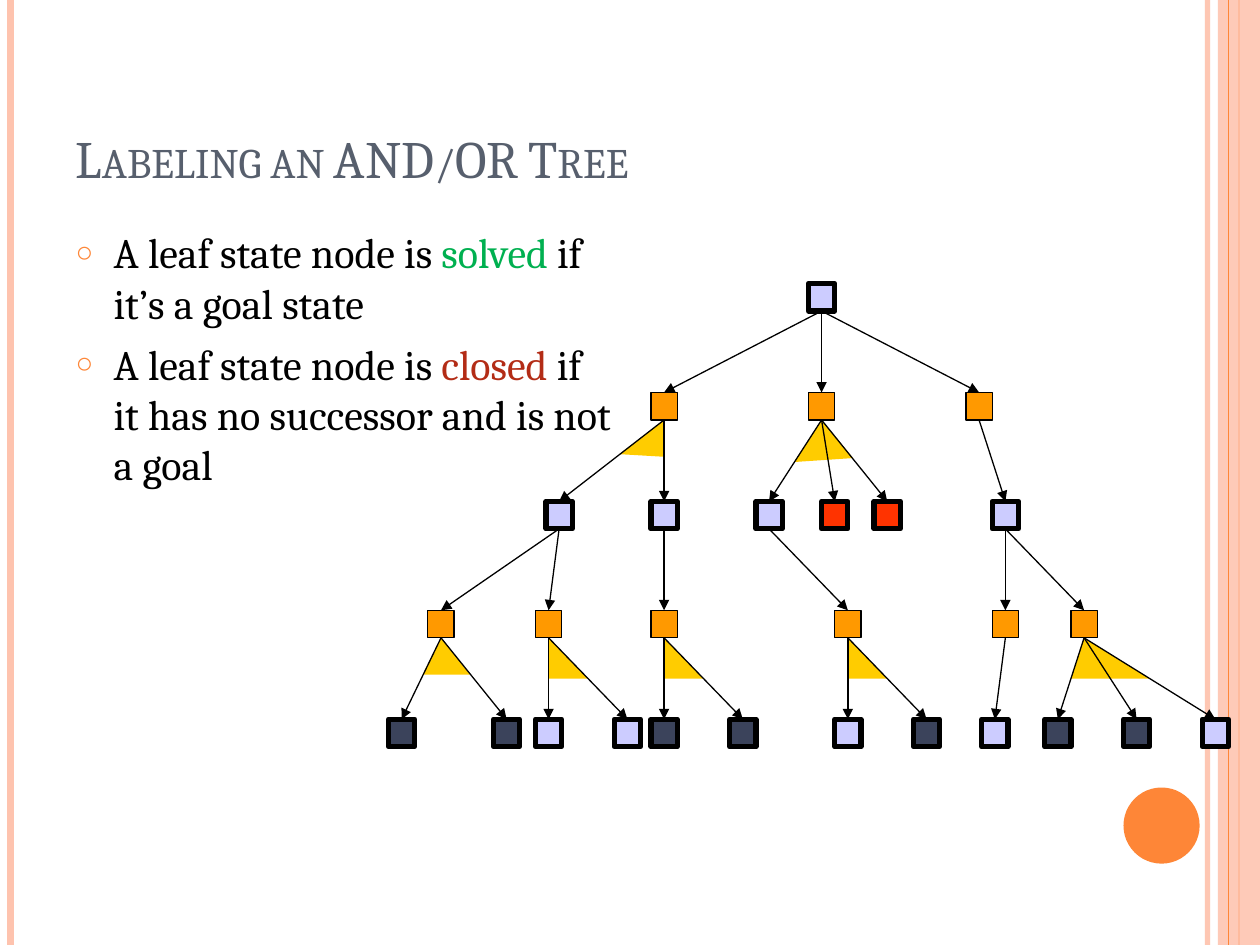
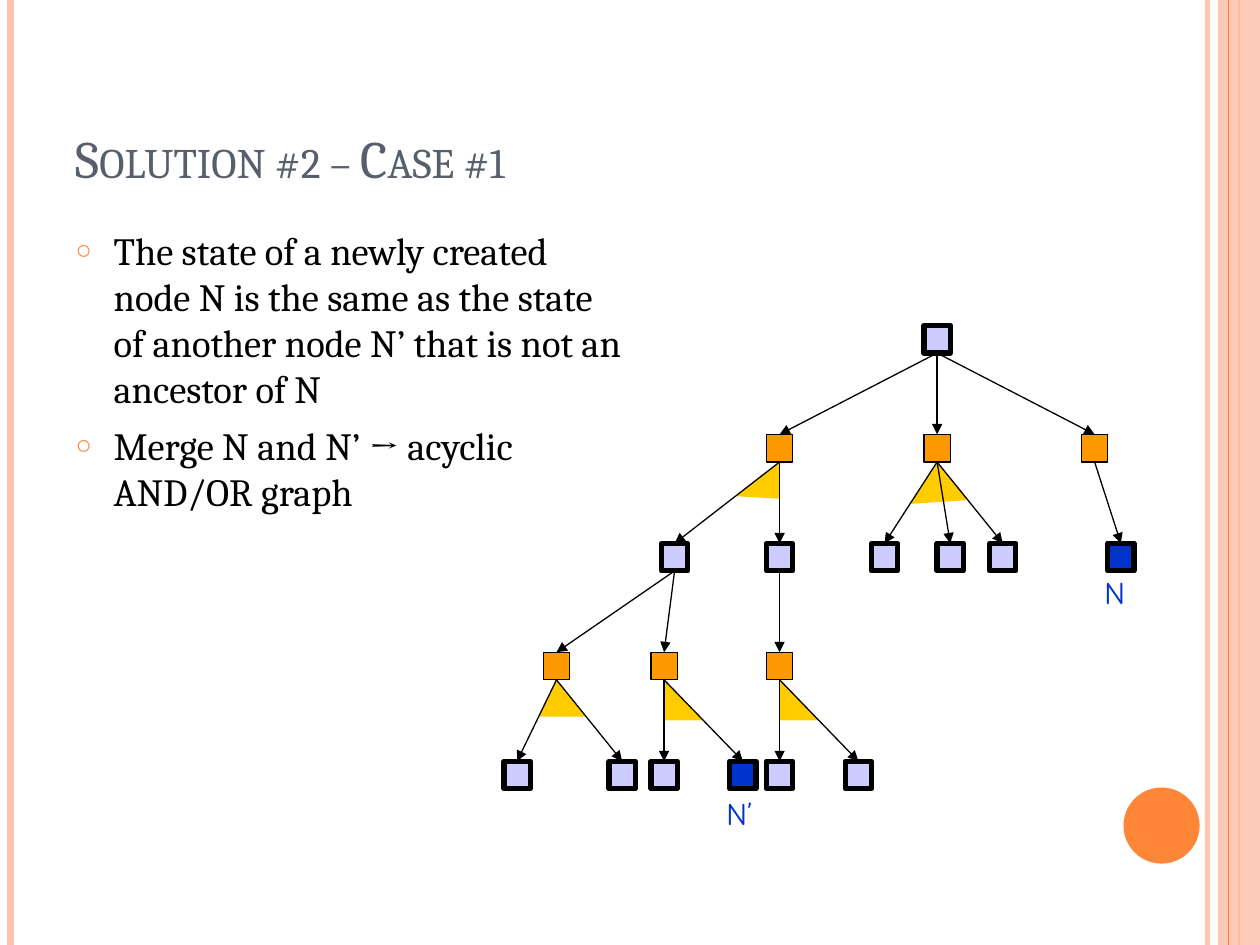
from dataclasses import dataclass

from lxml import etree
from pptx import Presentation
from pptx.dml.color import RGBColor
from pptx.enum.shapes import MSO_CONNECTOR, MSO_SHAPE
from pptx.enum.text import MSO_ANCHOR, MSO_AUTO_SIZE, PP_ALIGN
from pptx.oxml.ns import qn
from pptx.util import Emu, Pt

SCALE = 9525  # EMU per px, 96 px to the inch
RECT, OVAL = MSO_SHAPE.RECTANGLE, MSO_SHAPE.OVAL
STRAIGHT = MSO_CONNECTOR.STRAIGHT
BOTTOM, LEFT, NO_FIT = MSO_ANCHOR.BOTTOM, PP_ALIGN.LEFT, MSO_AUTO_SIZE.NONE

FONT, LABEL_FONT = "Cambria", "Comic Neue"
BLACK, SLATE, ORANGE, PEACH = "000000", "575F6D", "FE8637", "FEC3AE"
GREEN, RED_TEXT = "00B050", "B32C16"
STATE, ACTION, FAN = "CCCCFF", "FF9900", "FFCC00"
SOLVED, CLOSED, MERGED = "3B435B", "FF3300", "0033CC"

WIDTH, HEIGHT = 960, 720
NODE_W, NODE_H, ROW_STEP = 20, 21, 83


@dataclass
class Node:
    """A tree node: left edge in the tree, children, fill, reach of its AND fan."""
    x: int
    kids: tuple = ()
    fill: str = STATE
    reach: tuple = (0.5, 0.5)


def px(n):
    return Emu(round(n * SCALE))


def rgb(value):
    return RGBColor.from_string(value)


def sub(parent, tag, **attrs):
    return etree.SubElement(parent, qn(tag), attrs)


def set_alpha(sp, percent):
    colour = next(sp._element.spPr.iter(qn("a:srgbClr")))
    sub(colour, "a:alpha", val=str(percent * 1000))


def paint(sp, fill, line=None, width=0.75):
    sp.shadow.inherit = False
    sp.fill.solid()
    sp.fill.fore_color.rgb = rgb(fill)
    if line:
        sp.line.color.rgb = rgb(line)
        sp.line.width = Pt(width)
    else:
        sp.line.fill.background()
    return sp


def add_shape(slide, kind, x, y, w, h, fill, line=None, width=0.75):
    sp = slide.shapes.add_shape(kind, px(x), px(y), px(w), px(h))
    return paint(sp, fill, line, width)


def add_line(slide, x1, y1, x2, y2, colour, width=0.75, arrow=False):
    c = slide.shapes.add_connector(STRAIGHT, px(x1), px(y1), px(x2), px(y2))
    c.line.color.rgb = rgb(colour)
    c.line.width = Pt(width)
    if arrow:
        sub(c._element.spPr.find(qn("a:ln")), "a:tailEnd", type="triangle")
    sub(c._element.spPr, "a:effectLst")
    return c


# Shared frame: side bands and the disc, kept on the layout
def add_frame(layout, slide):
    def rule(x, colour, width):
        return add_line(slide, x, 0, x, HEIGHT, colour, width)

    inner = rule(920, PEACH, 3)
    set_alpha(inner, 93)
    left, right = rule(8, PEACH, 4.5), rule(944, ORANGE, 1.5)
    band = add_shape(slide, RECT, 928, 0, 32, HEIGHT, PEACH)
    set_alpha(band, 87)
    thin = rule(936, ORANGE, 0.75)
    disc = add_shape(slide, OVAL, 856, 600, 58, 58, ORANGE)
    for sp in (inner, left, right, band, thin, disc):
        layout.shapes.element.append(sp._element)


def place(sp, x, y, w, h):
    sp.left, sp.top, sp.width, sp.height = px(x), px(y), px(w), px(h)
    sp.text_frame.auto_size = NO_FIT
    return sp.text_frame


def style(p, size, colour, font=FONT):
    p.font.name, p.font.size = font, Pt(size)
    p.font.color.rgb = rgb(colour)


def add_title(slide, text):
    tf = place(slide.shapes.title, 48, 29, 784, 120)
    tf.vertical_anchor = BOTTOM
    p = tf.paragraphs[0]
    p.alignment = LEFT
    style(p, 30, SLATE)
    r = p.add_run()
    r.text = text
    r._r.get_or_add_rPr().set("cap", "small")


def add_bullets(slide, width, size, items):
    """Each item is a list of (text, colour) runs; colour None keeps black."""
    tf = place(slide.placeholders[1], 48, 168, width, 512)
    for i, runs in enumerate(items):
        p = tf.add_paragraph() if i else tf.paragraphs[0]
        p.space_before = Pt(6)
        pPr = p._p.get_or_add_pPr()
        pPr.set("marL", str(px(29)))
        pPr.set("indent", str(px(-29)))
        sub(sub(pPr, "a:buClr"), "a:srgbClr", val=ORANGE)
        sub(pPr, "a:buSzPct", val="70000")
        sub(pPr, "a:buChar", char="○")
        style(p, size, BLACK)
        for text, colour in runs:
            r = p.add_run()
            r.text = text
            if colour:
                r.font.color.rgb = rgb(colour)


# AND/OR tree
def walk(node, depth=0):
    yield node, depth
    for kid in node.kids:
        yield from walk(kid, depth + 1)


def add_tree(slide, left, top, root):
    nodes = list(walk(root))
    arrow_h = ROW_STEP - NODE_H

    def foot(node, depth):
        return left + node.x + NODE_W / 2, top + depth * ROW_STEP + NODE_H

    # Fans join the outer arrows of an AND node
    for node, depth in nodes:
        if node.fill == ACTION and len(node.kids) > 1:
            x, y = foot(node, depth)
            ends = zip((node.kids[0], node.kids[-1]), node.reach)
            corners = [(x + (kid.x - node.x) * part, y + arrow_h * part)
                       for kid, part in ends]
            builder = slide.shapes.build_freeform(x, y, scale=SCALE)
            builder.add_line_segments(corners, close=True)
            paint(builder.convert_to_shape(), FAN)

    for node, depth in nodes:
        x, y = foot(node, depth)
        for kid in node.kids:
            add_line(slide, x, y, x + kid.x - node.x, y + arrow_h, BLACK, arrow=True)

    for node, depth in nodes:
        add_shape(slide, RECT, left + node.x, top + depth * ROW_STEP, NODE_W, NODE_H,
                  node.fill, BLACK, 0.75 if node.fill == ACTION else 3)


def add_label(slide, x, y, text):
    tf = slide.shapes.add_textbox(px(x), px(y), px(40), px(38)).text_frame
    tf.word_wrap = False
    p = tf.paragraphs[0]
    p.text = text
    style(p, 18, MERGED, LABEL_FONT)


def action(x, *kids, reach=(0.5, 0.5)):
    return Node(x, kids, ACTION, reach)


def full_tree(leaf_fills, middle, right):
    """Root with the common left branch and the given other state nodes."""
    xs = (0, 80, 112, 172, 200, 260)
    leaves = [Node(x, fill=fill) for x, fill in zip(xs, leaf_fills)]
    first = Node(120, (action(30, *leaves[:2], reach=(0.45, 0.45)),
                       action(112, *leaves[2:4])))
    second = Node(200, (action(200, *leaves[4:]),))
    return Node(320, (action(200, first, second, reach=(0.42, 0.45)),
                      action(320, *middle, reach=(0.52, 0.47)),
                      action(440, right)))


def labeling_slide(slide):
    add_title(slide, "Labeling an AND/OR Tree")
    add_bullets(slide, 430, 24, [
        [("A leaf state node is ", None), ("solved", GREEN),
         (" if it’s a goal state", None)],
        [("A leaf state node is ", None), ("closed", RED_TEXT),
         (" if it has no successor and is not a goal", None)],
    ])
    middle = (Node(280, (action(340, Node(340), Node(400, fill=SOLVED)),)),
              Node(330, fill=CLOSED), Node(370, fill=CLOSED))
    right = Node(460, (
        action(460, Node(452)),
        action(520, Node(500, fill=SOLVED), Node(560, fill=SOLVED), Node(620))))
    leaf_fills = (SOLVED, SOLVED, STATE, STATE, SOLVED, SOLVED)
    add_tree(slide, 296, 216, full_tree(leaf_fills, middle, right))


def merge_slide(slide):
    add_title(slide, "Solution #2 – Case #1")
    add_bullets(slide, 436, 22, [
        [("The state of a newly created node N is the same as the state of "
          "another node N’ that is not an ancestor of N", None)],
        [("Merge N and N’ → acyclic AND/OR graph", None)],
    ])
    left, top = 384, 248
    middle = [Node(x) for x in (280, 330, 370)]
    leaf_fills = (STATE, STATE, STATE, MERGED, STATE, STATE)
    add_tree(slide, left, top, full_tree(leaf_fills, middle, Node(460, fill=MERGED)))
    add_label(slide, left + 448, top + 184, "N")
    add_label(slide, left + 160, top + 352, "N’")


def main():
    prs = Presentation()
    prs.slide_width, prs.slide_height = px(WIDTH), px(HEIGHT)
    layout = prs.slide_layouts[1]
    slides = [prs.slides.add_slide(layout) for _ in range(2)]
    add_frame(layout, slides[0])
    labeling_slide(slides[0])
    merge_slide(slides[1])
    prs.save("out.pptx")


if __name__ == "__main__":
    main()
